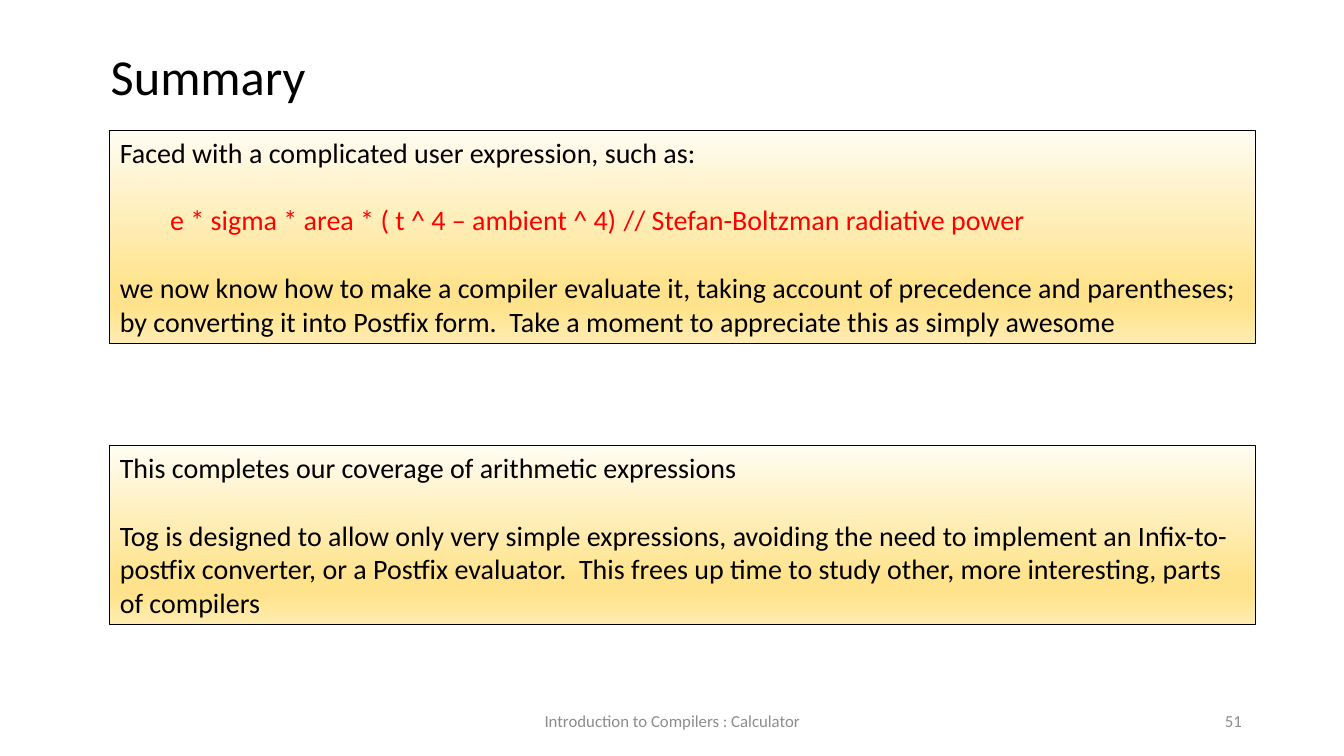
from copy import deepcopy

from lxml import etree
from pptx import Presentation
from pptx.dml.color import RGBColor
from pptx.enum.shapes import MSO_SHAPE
from pptx.enum.text import MSO_ANCHOR as ANCHOR, PP_ALIGN as ALIGN
from pptx.oxml.ns import qn
from pptx.util import Cm, Pt

BLACK, RED, GREY = "000000", "FF0000", "8C8C8C"
FORMULA_INDENT, COMMENT_TAB = 1.27, 14.61
BLANK_LINE = 24.4
GRADIENT = [(0, "FFFCF2"), (0.74, "FFE38C"), (0.83, "FFE38C"), (1, "FFECB2")]

# text, left, top, width, height, size, colour, alignment, anchor
LABELS = [
    ("Summary", 2.54, 1.02, 29.11, 1.8, 36, BLACK, ALIGN.LEFT, ANCHOR.TOP),
    ("Introduction to Compilers : Calculator",
     11.23, 17.65, 11.43, 1.02, 12, GREY, ALIGN.CENTER, ANCHOR.MIDDLE),
    ("51", 23.93, 17.65, 7.62, 1.02, 12, GREY, ALIGN.RIGHT, ANCHOR.MIDDLE),
]

PANEL_LEFT, PANEL_WIDTH = 2.77, 28.88
# top, height, paragraphs as (text, is formula)
PANELS = [
    (3.28, 5.38, [
        ("Faced with a complicated user expression, such as:", False),
        ("e * sigma * area * ( t ^ 4 – ambient ^ 4)\t"
         "// Stefan-Boltzman radiative power", True),
        ("we now know how to make a compiler evaluate it, taking account of "
         "precedence and parentheses; by converting it into Postfix form.  "
         "Take a moment to appreciate this as simply awesome", False),
    ]),
    (11.23, 4.52, [
        ("This completes our coverage of arithmetic expressions", False),
        ("Tog is designed to allow only very simple expressions, avoiding the "
         "need to implement an Infix-to-postfix converter, or a Postfix "
         "evaluator.  This frees up time to study other, more interesting, "
         "parts of compilers", False),
    ]),
]


def rgb(colour):
    return RGBColor.from_string(colour)


def set_attrs(obj, **values):
    for name, value in values.items():
        setattr(obj, name, value)


def write(p, text, size, colour, align=ALIGN.LEFT):
    p.alignment = align
    r = p.add_run()
    r.text = text
    set_attrs(r.font, name="Calibri", size=Pt(size))
    r.font.color.rgb = rgb(colour)


def fill_gradient(sp):
    """Fill a shape from top to bottom with the GRADIENT stops."""
    sp.fill.gradient()
    sp.fill.gradient_angle = 270
    stops = sp._element.spPr.find(qn("a:gradFill")).find(qn("a:gsLst"))
    while len(stops) < len(GRADIENT):
        stops.append(deepcopy(stops[0]))
    for stop, (position, colour) in zip(sp.fill.gradient_stops, GRADIENT):
        stop.position = position
        stop.color.rgb = rgb(colour)


def indent_formula(p):
    """Indent the formula and set a tab stop for its comment."""
    pPr = p._p.get_or_add_pPr()
    pPr.set("marL", "0")
    pPr.set("indent", str(Cm(FORMULA_INDENT)))
    tabs = etree.SubElement(pPr, qn("a:tabLst"))
    etree.SubElement(tabs, qn("a:tab"), pos=str(Cm(COMMENT_TAB)), algn="l")


def add_label(s, text, left, top, width, height, size, colour, align, anchor):
    tf = s.shapes.add_textbox(Cm(left), Cm(top), Cm(width), Cm(height)).text_frame
    set_attrs(tf, word_wrap=True, vertical_anchor=anchor)
    write(tf.paragraphs[0], text, size, colour, align)


def add_panel(s, top, height, paragraphs):
    sp = s.shapes.add_shape(MSO_SHAPE.RECTANGLE, Cm(PANEL_LEFT), Cm(top),
                            Cm(PANEL_WIDTH), Cm(height))
    sp.shadow.inherit = False
    fill_gradient(sp)
    sp.line.color.rgb = rgb(BLACK)
    sp.line.width = Pt(0.75)
    tf = sp.text_frame
    set_attrs(tf, word_wrap=True, vertical_anchor=ANCHOR.TOP)
    for i, (text, is_formula) in enumerate(paragraphs):
        p = tf.add_paragraph() if i else tf.paragraphs[0]
        if is_formula:
            indent_formula(p)
        if i:
            p.space_before = Pt(BLANK_LINE)
        write(p, text, 20, RED if is_formula else BLACK)


def main():
    prs = Presentation()
    set_attrs(prs, slide_width=Cm(33.87), slide_height=Cm(19.05))
    s = prs.slides.add_slide(prs.slide_layouts[6])
    for label in LABELS:
        add_label(s, *label)
    for panel in PANELS:
        add_panel(s, *panel)
    prs.save("out.pptx")


if __name__ == "__main__":
    main()
